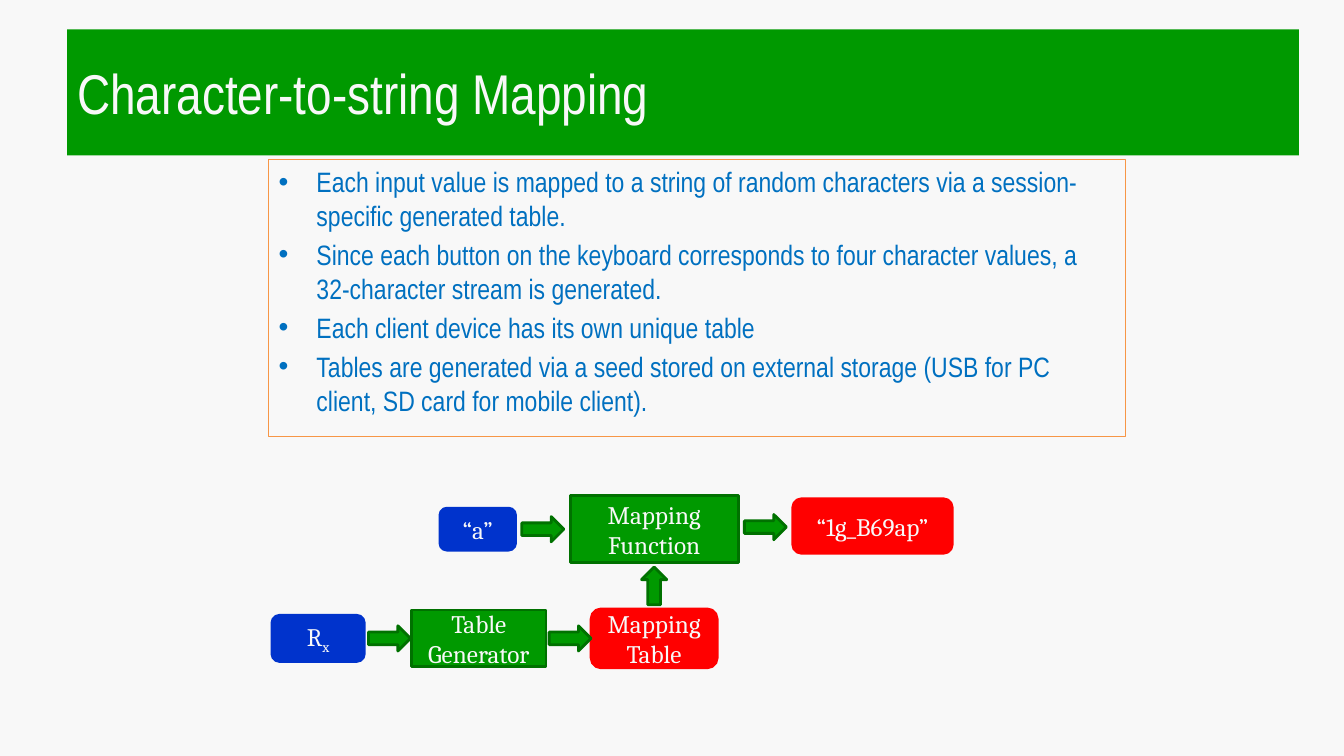
from lxml import etree
from pptx import Presentation
from pptx import util as u
from pptx.dml.color import RGBColor
from pptx.enum import shapes, text
from pptx.oxml.ns import qn

PX = 9525  # EMU per px, 96 px to the inch
COLORS = {
    "paper": "F8F8F8",
    "green": "009900",
    "dark_green": "007100",
    "blue": "0033CC",
    "red": "FF0000",
    "orange": "F79646",
    "body": "0070C0",
}
KIND = shapes.MSO_SHAPE
BULLETS = [
    "Each input value is mapped to a string of random characters via a session-specific generated table.",
    "Since each button on the keyboard corresponds to four character values, a 32-character stream is generated.",
    "Each client device has its own unique table",
    "Tables are generated via a seed stored on external storage (USB for PC client, SD card for mobile client).",
]


def color(name):
    return RGBColor.from_string(COLORS[name])


def box(left, top, width, height):
    return [u.Emu(value * PX) for value in (left, top, width, height)]


def fill(shape, name):
    shape.fill.solid()
    shape.fill.fore_color.rgb = color(name)


def outline(shape, name, points):
    shape.line.color.rgb = color(name)
    shape.line.width = u.Pt(points)


def add_run(paragraph, words, font, size, name):
    run = paragraph.add_run()
    run.text = words
    run.font.name = font
    run.font.size = u.Pt(size)
    run.font.color.rgb = color(name)
    return run


def add_title(slide, words, place):
    title = slide.shapes.title
    title.left, title.top, title.width, title.height = box(*place)
    fill(title, "green")
    frame = title.text_frame
    frame.auto_size = text.MSO_AUTO_SIZE.NONE
    frame.vertical_anchor = text.MSO_ANCHOR.MIDDLE
    paragraph = frame.paragraphs[0]
    paragraph.alignment = text.PP_ALIGN.LEFT
    add_run(paragraph, words, "Arial Narrow", 40, "paper")


def add_bullets(slide, items, place):
    shape = slide.shapes.add_textbox(*box(*place))
    outline(shape, "orange", 0.75)
    frame = shape.text_frame
    frame.word_wrap = True
    for index, item in enumerate(items):
        paragraph = frame.add_paragraph() if index else frame.paragraphs[0]
        paragraph.space_before = u.Pt(4)
        properties = paragraph._p.get_or_add_pPr()
        properties.set("marL", str(36 * PX))
        properties.set("indent", str(-36 * PX))
        etree.SubElement(properties, qn("a:buFont"), typeface="Arial")
        etree.SubElement(properties, qn("a:buChar"), char="•")
        add_run(paragraph, item, "Arial Narrow", 20, "body")


def add_block(slide, kind, place, fill_name, line_name):
    shape = slide.shapes.add_shape(kind, *box(*place))
    shape.shadow.inherit = False
    fill(shape, fill_name)
    outline(shape, line_name, 2)
    return shape


def add_node(slide, kind, place, fill_name, line_name, words, subscript=""):
    frame = add_block(slide, kind, place, fill_name, line_name).text_frame
    frame.word_wrap = True
    frame.vertical_anchor = text.MSO_ANCHOR.MIDDLE
    paragraph = frame.paragraphs[0]
    paragraph.alignment = text.PP_ALIGN.CENTER
    add_run(paragraph, words, "Cambria", 18, "paper")
    if subscript:
        run = add_run(paragraph, subscript, "Cambria", 18, "paper")
        run.font._element.set("baseline", "-25000")


def add_value(slide, place, name, words, subscript=""):
    add_node(slide, KIND.ROUNDED_RECTANGLE, place, name, name, words, subscript)


def add_process(slide, place, words):
    add_node(slide, KIND.RECTANGLE, place, "green", "dark_green", words)


def add_arrow(slide, kind, place):
    add_block(slide, kind, place, "green", "dark_green")


def main():
    presentation = Presentation()
    presentation.slide_width, presentation.slide_height = u.Emu(1280 * PX), u.Emu(720 * PX)
    slide = presentation.slides.add_slide(presentation.slide_layouts[5])
    fill(slide.background, "paper")

    # Heading and explanation
    add_title(slide, "Character-to-string Mapping", (64, 28, 1173, 120))
    add_bullets(slide, BULLETS, (256, 152, 816, 264))

    # Inputs and outputs
    add_value(slide, (419, 484, 72, 40), "blue", "“a”")
    add_value(slide, (563, 580, 120, 56), "red", "Mapping Table")
    add_value(slide, (755, 475, 152, 52), "red", "“1g_B69ap”")
    add_value(slide, (259, 586, 88, 44), "blue", "R", "x")

    # Processing steps
    add_process(slide, (543, 472, 160, 64), "Mapping Function")
    add_process(slide, (392, 581, 128, 54), "Table Generator")

    # Flow arrows
    for left, top in [(497, 492), (709, 490), (351, 596), (523, 596)]:
        add_arrow(slide, KIND.RIGHT_ARROW, (left, top, 40, 24))
    add_arrow(slide, KIND.UP_ARROW, (611, 540, 24, 36))

    presentation.save("out.pptx")


if __name__ == "__main__":
    main()
